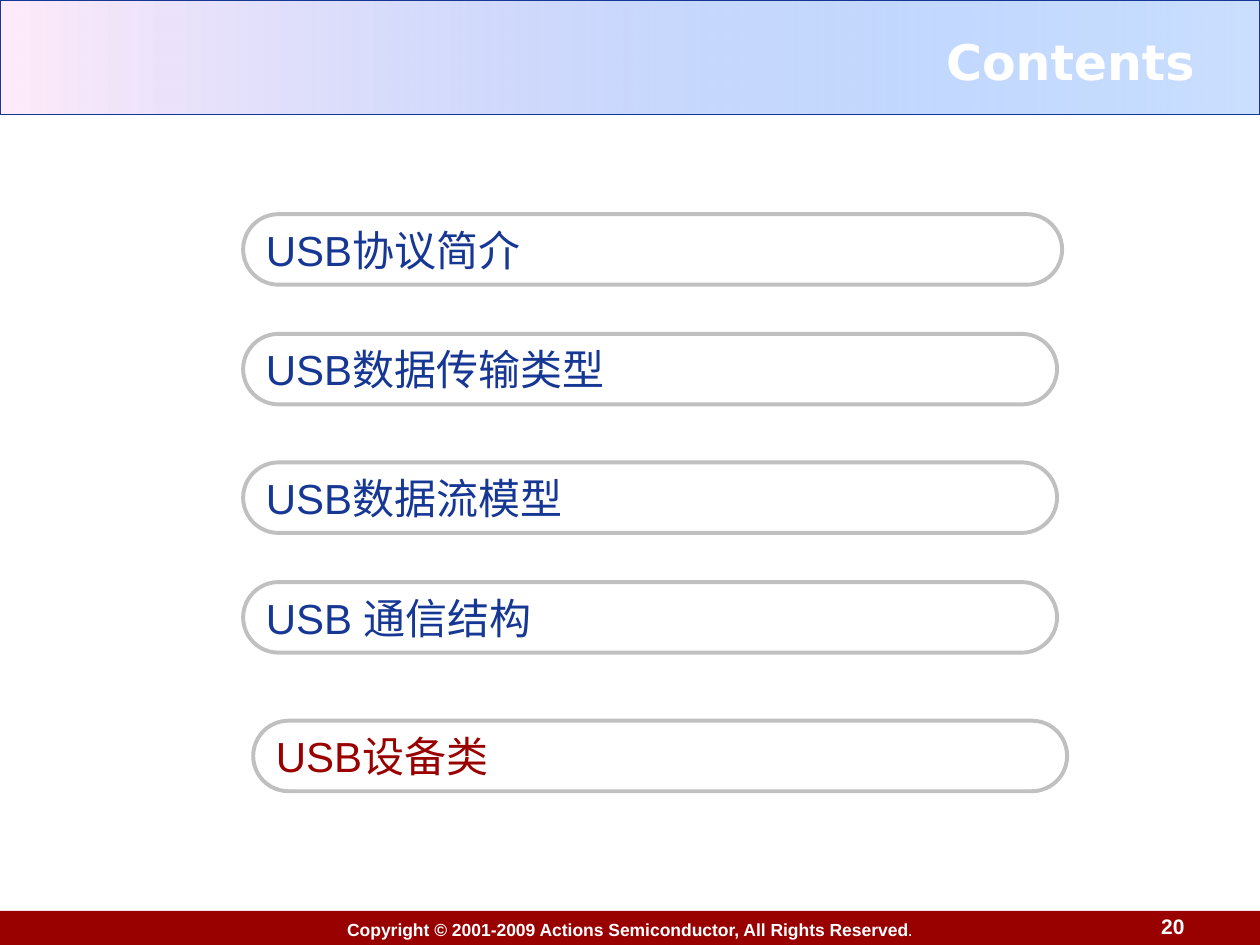
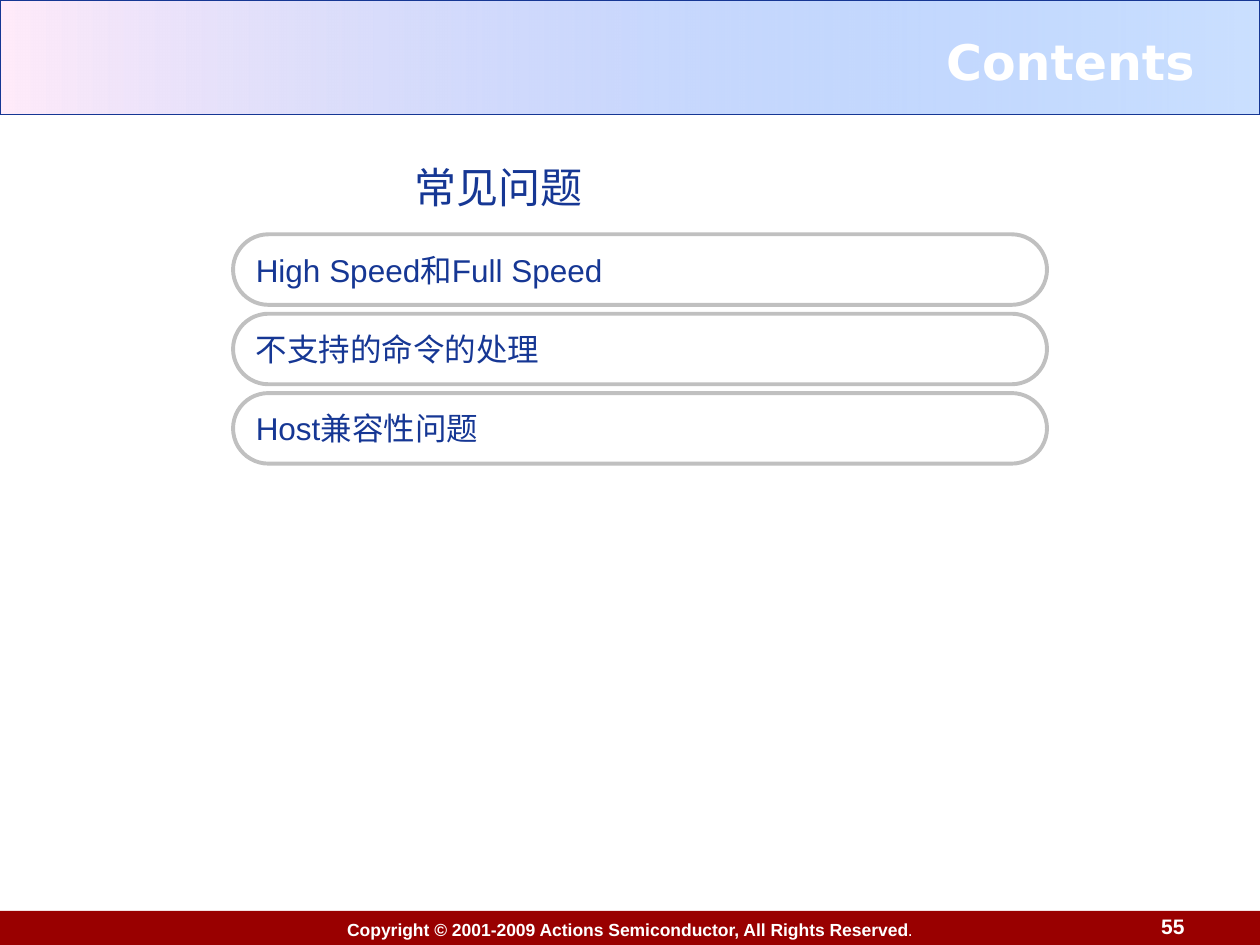
from dataclasses import dataclass

import pptx
import pptx.dml.color
import pptx.enum.shapes
import pptx.enum.text
import pptx.oxml
import pptx.oxml.ns
import pptx.util
from pptx.util import Inches

Align = pptx.enum.text.PP_ALIGN
Anchor = pptx.enum.text.MSO_ANCHOR
Preset = pptx.enum.shapes.MSO_SHAPE

COLOURS = {
    "navy": "163794",
    "red": "990000",
    "white": "FFFFFF",
    "outline": "C0C0C0",
    "band_blue": "5E9EFF",
    "band_pink": "FFEBFA",
}
BODY_FONT = "Arial"
TITLE_FONT = "DejaVu Sans"
TITLE_ONLY = 5
PAGE_WIDTH = 10
BAND_BLUE_ALPHA = 32000
PILL_HEIGHT = 0.56


@dataclass
class Style:
    size: float
    colour: str = "navy"
    bold: bool = False
    font: str = BODY_FONT


@dataclass
class Pill:
    text: str
    left: float
    top: float
    width: float = 6.46
    size: float = 24
    colour: str = "navy"


TITLE = Style(28, "white", True, TITLE_FONT)
COPYRIGHT = Style(10, "white", True)
COPYRIGHT_STOP = Style(10, "white")
PAGE_NUMBER = Style(12, "white", True)
HEADING = Style(24)

TOPICS = [
    Pill("USB协议简介", 1.93, 1.7, width=6.5),
    Pill("USB数据传输类型", 1.93, 2.65),
    Pill("USB数据流模型", 1.93, 3.67),
    Pill("USB 通信结构", 1.93, 4.62),
    Pill("USB设备类", 2.01, 5.72, colour="red"),
]
QUESTIONS = [
    Pill(text, 1.85, 1.86 + 0.63 * row, size=18)
    for row, text in enumerate(
        ["High Speed和Full Speed", "不支持的命令的处理", "Host兼容性问题"]
    )
]


def rgb(name: str) -> pptx.dml.color.RGBColor:
    return pptx.dml.color.RGBColor.from_string(COLOURS[name])


def write(box, spans: list[tuple[str, Style]], align=Align.LEFT,
          anchor=Anchor.MIDDLE, wrap: bool = True) -> None:
    """Fill the single paragraph of a box, one run for each span."""
    frame = box.text_frame
    frame.auto_size = pptx.enum.text.MSO_AUTO_SIZE.NONE
    frame.word_wrap = wrap
    frame.vertical_anchor = anchor
    para = frame.paragraphs[0]
    para.alignment = align
    for text, style in spans:
        span = para.add_run()
        span.text = text
        span.font.name = style.font
        span.font.size = pptx.util.Pt(style.size)
        span.font.bold = style.bold
        span.font.color.rgb = rgb(style.colour)


def add_preset(page, preset, left: float, top: float, width: float, height: float):
    shape = page.shapes.add_shape(
        preset, Inches(left), Inches(top), Inches(width), Inches(height))
    shape.shadow.inherit = False
    return shape


def add_text(page, text: str, style: Style, left: float, top: float,
             width: float, height: float, **layout) -> None:
    box = page.shapes.add_textbox(
        Inches(left), Inches(top), Inches(width), Inches(height))
    write(box, [(text, style)], **layout)


def outline(shape, colour: str, points: float) -> None:
    shape.line.color.rgb = rgb(colour)
    shape.line.width = pptx.util.Pt(points)


def add_header_band(page) -> None:
    band = add_preset(page, Preset.RECTANGLE, 0, 0, PAGE_WIDTH, 0.91)
    band.fill.gradient()
    band.fill.gradient_angle = 180
    for stop, colour in zip(band.fill.gradient_stops, ("band_blue", "band_pink")):
        stop.color.rgb = rgb(colour)
    first_colour = band._element.spPr.find(".//" + pptx.oxml.ns.qn("a:srgbClr"))
    first_colour.append(pptx.oxml.parse_xml(
        f'<a:alpha {pptx.oxml.ns.nsdecls("a")} val="{BAND_BLUE_ALPHA}"/>'))
    outline(band, "navy", 0.75)


def add_footer(page, number: int) -> None:
    band = add_preset(page, Preset.RECTANGLE, 0, 7.23, PAGE_WIDTH, 0.29)
    band.fill.solid()
    band.fill.fore_color.rgb = rgb("red")
    band.line.fill.background()
    notice = "Copyright © 2001-2009 Actions Semiconductor, All Rights Reserved"
    write(band, [(notice, COPYRIGHT), (".", COPYRIGHT_STOP)],
          align=Align.CENTER, wrap=False)
    add_text(page, str(number), PAGE_NUMBER, 8.94, 7.22, 0.56, 0.28,
             align=Align.RIGHT, anchor=Anchor.BOTTOM)


def add_pill(page, pill: Pill) -> None:
    shape = add_preset(page, Preset.ROUNDED_RECTANGLE,
                       pill.left, pill.top, pill.width, PILL_HEIGHT)
    shape.adjustments[0] = 0.5
    shape.fill.background()
    outline(shape, "outline", 2.25)
    write(shape, [(pill.text, Style(pill.size, pill.colour))], wrap=False)


def add_contents_page(deck, number: int, pills: list[Pill]):
    page = deck.slides.add_slide(deck.slide_layouts[TITLE_ONLY])
    add_header_band(page)
    add_footer(page, number)
    title = page.shapes.title
    title.left, title.top = Inches(0.33), Inches(0.17)
    title.width, title.height = Inches(9.25), Inches(0.62)
    write(title, [("Contents", TITLE)], align=Align.RIGHT)
    # The title placeholder comes first, so lift it above the header band.
    page.shapes._spTree.append(title._element)
    for pill in pills:
        add_pill(page, pill)
    return page


def main() -> None:
    deck = pptx.Presentation()
    deck.slide_width, deck.slide_height = Inches(PAGE_WIDTH), Inches(7.5)
    add_contents_page(deck, 20, TOPICS)
    questions_page = add_contents_page(deck, 55, QUESTIONS)
    add_text(questions_page, "常见问题", HEADING, 3.19, 1.23, 4.72, 0.5,
             anchor=Anchor.TOP)
    deck.save("out.pptx")


if __name__ == "__main__":
    main()
